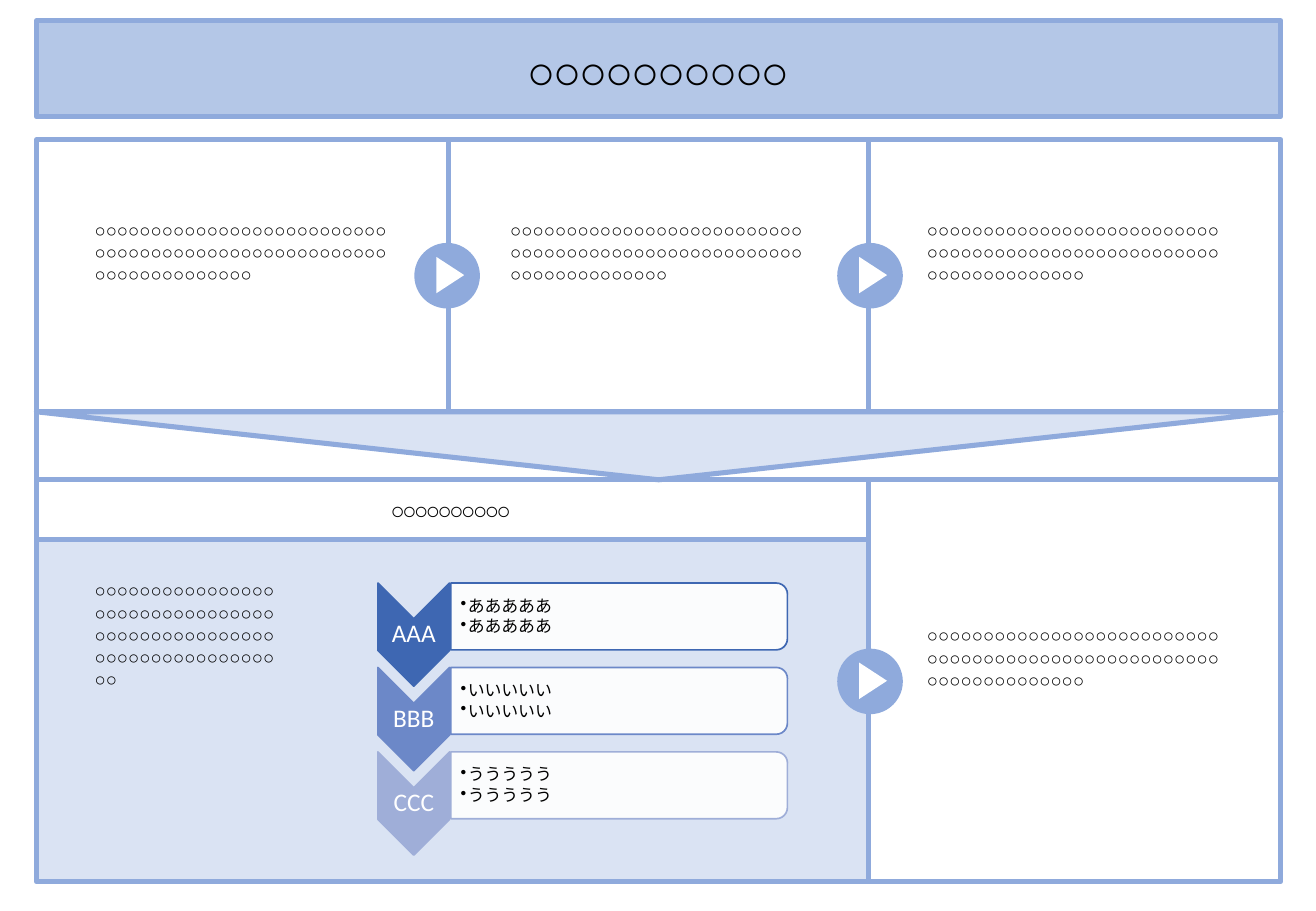
from dataclasses import dataclass
from typing import Optional

from lxml.etree import SubElement
from pptx import Presentation
from pptx.dml.color import RGBColor
from pptx.enum.shapes import MSO_SHAPE
from pptx.enum.text import MSO_ANCHOR, MSO_AUTO_SIZE, PP_ALIGN
from pptx.oxml.ns import qn
from pptx.shapes.autoshape import Shape
from pptx.shapes.shapetree import _BaseGroupShapes
from pptx.text.text import TextFrame
from pptx.util import Inches, Pt

COLS, ROWS = 1083, 750
WIDTH, HEIGHT = Inches(10.83), Inches(7.5)
HUES = {
    "edge": "8FAADC", "head": "B4C7E7", "pale": "DAE3F3",
    "white": "FFFFFF", "black": "000000",
    "deep": "3E67B2", "mid": "6C88C8", "light": "9FAED8",
}
TITLE = "○" * 10
BODY = "○" * 66


@dataclass
class Box:
    col: float
    row: float
    wide: float
    high: float

    def place(self) -> tuple[int, int, int, int]:
        return (round(self.col * WIDTH / COLS), round(self.row * HEIGHT / ROWS),
                round(self.wide * WIDTH / COLS), round(self.high * HEIGHT / ROWS))


@dataclass
class Panel:
    box: Box
    fill: Optional[str] = None
    kind: MSO_SHAPE = MSO_SHAPE.RECTANGLE
    turn: int = 0


@dataclass
class Label:
    box: Box
    text: str
    size: int
    align: PP_ALIGN = PP_ALIGN.JUSTIFY
    bold: bool = False
    tight: bool = False


@dataclass
class Step:
    name: str
    text: str
    hue: str


def color(key: str) -> RGBColor:
    return RGBColor.from_string(HUES[key])


def draw(host: _BaseGroupShapes, item: Panel, edge: Optional[str] = "edge",
         weight: float = 3) -> Shape:
    shape = host.add_shape(item.kind, *item.box.place())
    shape.shadow.inherit = False
    shape.rotation = item.turn
    if item.fill:
        shape.fill.solid()
        shape.fill.fore_color.rgb = color(item.fill)
    else:
        shape.fill.background()
    if edge:
        shape.line.color.rgb = color(edge)
        shape.line.width = Pt(weight)
    else:
        shape.line.fill.background()
    return shape


def write(host: _BaseGroupShapes, item: Label) -> None:
    frame = host.add_textbox(*item.box.place()).text_frame
    frame.word_wrap = True
    frame.auto_size = MSO_AUTO_SIZE.SHAPE_TO_FIT_TEXT
    frame.text = item.text
    para = frame.paragraphs[0]
    para.alignment = item.align
    run = para.runs[0]
    run.font.name, run.font.size = "Arial", Pt(item.size)
    run.font.bold = item.bold
    run.font.color.rgb = color("black")
    if item.tight:
        run._r.get_or_add_rPr().set("spc", "-150")


def badge(host: _BaseGroupShapes, col: float, row: float) -> None:
    group = host.add_group_shape().shapes
    draw(group, Panel(Box(col, row, 54, 54), "edge", MSO_SHAPE.OVAL), None)
    draw(group, Panel(Box(col + 14.5, row + 15, 30, 23), "white",
                      MSO_SHAPE.ISOSCELES_TRIANGLE, 90), None)


def caption(host: _BaseGroupShapes, box: Box, text: str, size: int,
            hue: str, left: float) -> TextFrame:
    frame = host.add_textbox(*box.place()).text_frame
    frame.word_wrap = True
    frame.vertical_anchor = MSO_ANCHOR.MIDDLE
    frame.margin_left = Inches(left)
    frame.margin_top = frame.margin_right = frame.margin_bottom = Inches(0.01)
    frame.text = text
    for para in frame.paragraphs:
        para.line_spacing = 0.9
        for run in para.runs:
            run.font.name, run.font.size = "Calibri", Pt(size)
            run.font.color.rgb = color(hue)
    return frame


def stage(host: _BaseGroupShapes, step: Step, row: float) -> None:
    draw(host, Panel(Box(298, row, 85, 59), step.hue, MSO_SHAPE.CHEVRON, 90),
         step.hue, 1)
    name = caption(host, Box(311, row + 17, 59, 25), step.name, 15, "white", 0.01)
    name.paragraphs[0].alignment = PP_ALIGN.CENTER
    card = draw(host, Panel(Box(482, row - 124, 55, 277), "white",
                            MSO_SHAPE.ROUND_2_SAME_RECTANGLE, 90), step.hue, 1)
    tint = card._element.spPr.find(qn("a:solidFill"))[0]
    SubElement(tint, qn("a:alpha")).set("val", "90000")
    notes = caption(host, Box(371, row - 10, 275, 50), step.text, 10, "black", 0.08)
    for para in notes.paragraphs:
        para.level = 1
        para.space_after = Pt(1.5)
        props = para._p.get_or_add_pPr()
        props.set("marL", str(Inches(0.06)))
        props.set("indent", str(-Inches(0.06)))
        SubElement(props, qn("a:buChar")).set("char", "•")


LEFT, SPLIT, RIGHT = 30, 715, 1054
TOP, BAND, LOWER, BASE = 115, 339, 395, 726
SIDE = RIGHT - SPLIT
FULL = RIGHT - LEFT
PANELS = [
    Panel(Box(LEFT, 17, FULL, 79), "head"),
    Panel(Box(LEFT, 444, SPLIT - LEFT, BASE - 444), "pale"),
    Panel(Box(LEFT, TOP, SIDE, BAND - TOP)),
    Panel(Box(LEFT + SIDE, TOP, SPLIT - LEFT - SIDE, BAND - TOP)),
    Panel(Box(SPLIT, TOP, SIDE, BAND - TOP)),
    Panel(Box(LEFT, BAND, FULL, LOWER - BAND), "pale",
          MSO_SHAPE.ISOSCELES_TRIANGLE, 180),
    Panel(Box(LEFT, BAND, FULL, LOWER - BAND)),
    Panel(Box(LEFT, LOWER, SPLIT - LEFT, 49)),
    Panel(Box(SPLIT, LOWER, SIDE, BASE - LOWER)),
]
LABELS = [
    Label(Box(269, 30, 545, 57), TITLE, 28, PP_ALIGN.CENTER, True, True),
    Label(Box(183, 403, 376, 34), TITLE, 14, PP_ALIGN.CENTER, False, True),
    *[Label(Box(col, row, 263, 103), BODY, 11)
      for col, row in [(68, 175), (410, 175), (753, 175), (753, 509)]],
    Label(Box(68, 472, 177, 140), BODY, 11),
]
STEPS = [
    Step("AAA", "あああああ\nあああああ", "deep"),
    Step("BBB", "いいいいい\nいいいいい", "mid"),
    Step("CCC", "ううううう\nううううう", "light"),
]


def main() -> None:
    deck = Presentation()
    deck.slide_width, deck.slide_height = WIDTH, HEIGHT
    page = deck.slides.add_slide(deck.slide_layouts[6]).shapes
    for panel in PANELS:
        draw(page, panel)
    for label in LABELS:
        write(page, label)
    for col, row in [(341, 200), (689, 200), (689, 534)]:
        badge(page, col, row)
    group = page.add_group_shape().shapes
    for rank, step in enumerate(STEPS):
        stage(group, step, 493 + rank * 69.5)
    deck.save("out.pptx")


if __name__ == "__main__":
    main()
